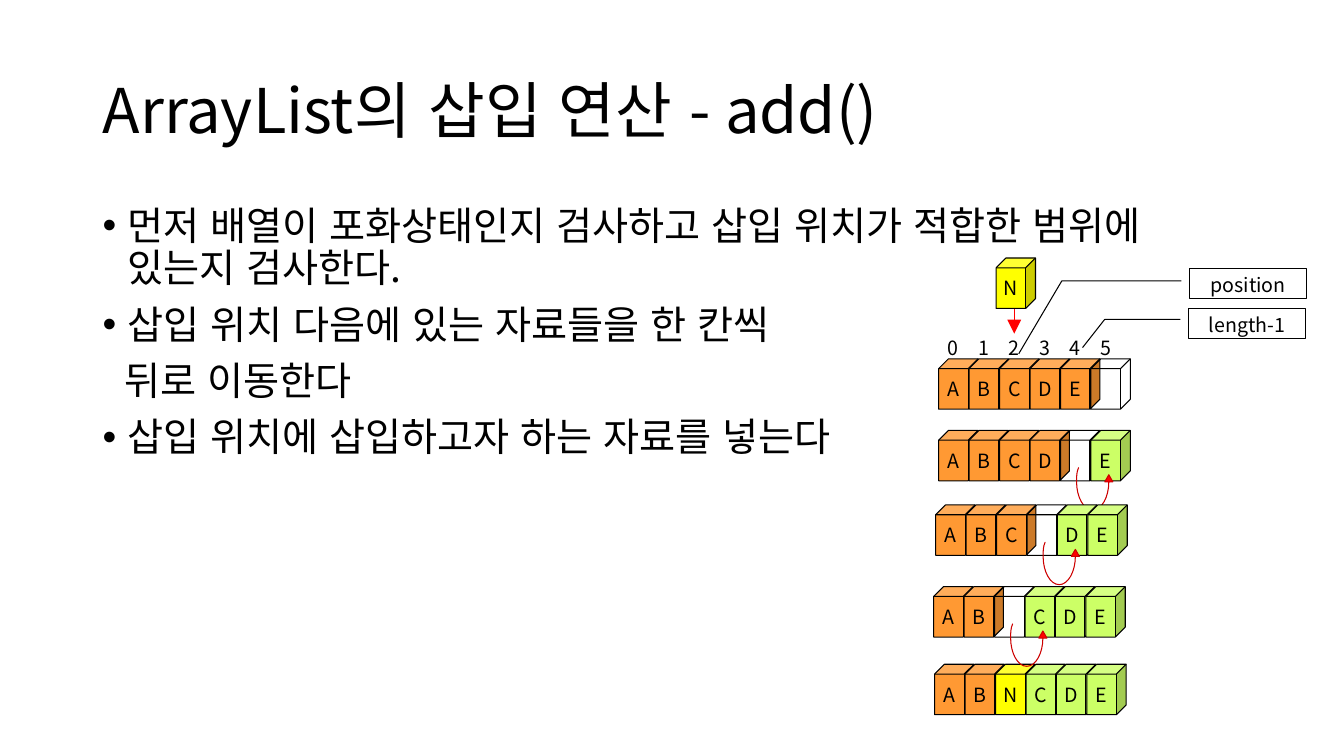
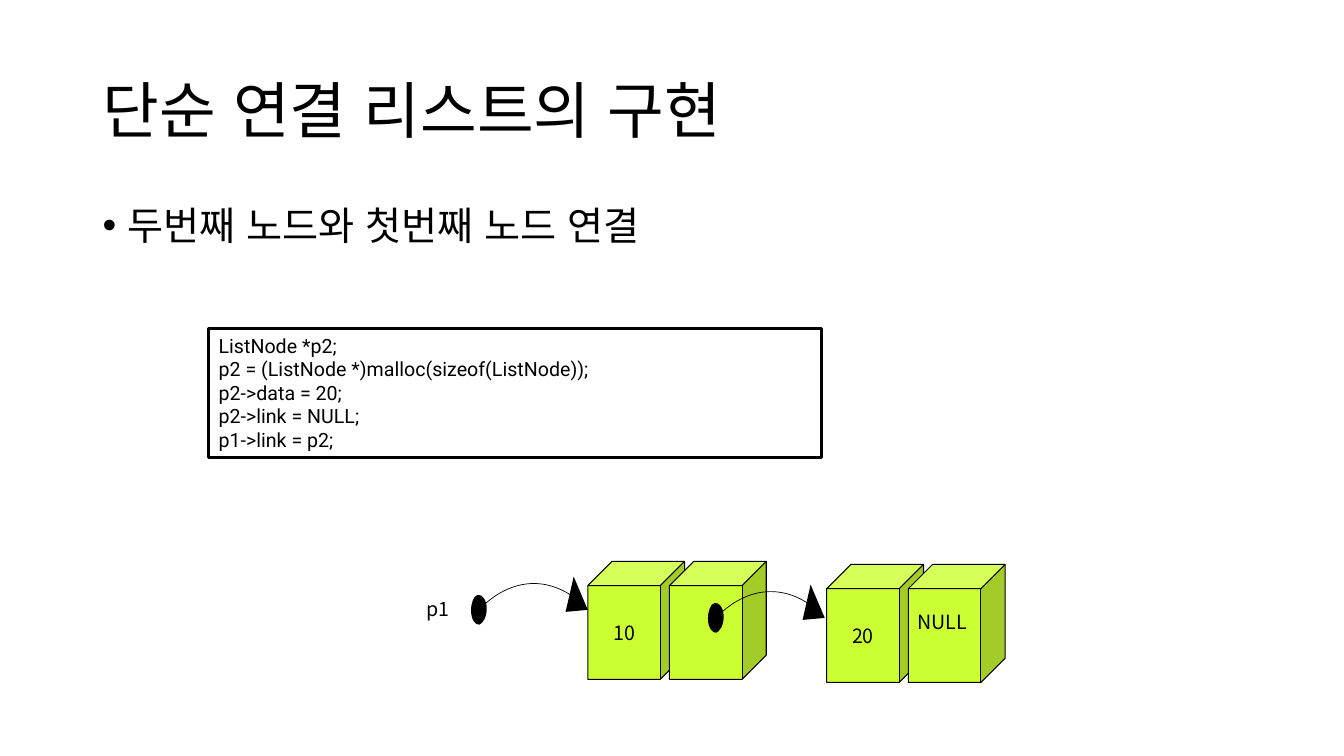
from lxml import etree
from pptx import Presentation
from pptx.dml.color import RGBColor
from pptx.enum.shapes import MSO_CONNECTOR, MSO_SHAPE
from pptx.enum.text import MSO_ANCHOR, PP_ALIGN
from pptx.oxml.ns import qn
from pptx.util import Inches, Pt

BLACK = RGBColor(0x00, 0x00, 0x00)
WHITE = RGBColor(0xFF, 0xFF, 0xFF)
ORANGE = RGBColor(0xFF, 0x99, 0x33)
GREEN = RGBColor(0xCC, 0xFF, 0x66)
LIME = RGBColor(0xCC, 0xFF, 0x33)
YELLOW = RGBColor(0xFF, 0xFF, 0x00)
RED = RGBColor(0xFF, 0x00, 0x00)
DARK_RED = RGBColor(0xCC, 0x00, 0x00)

CUBE, RECT = MSO_SHAPE.CUBE, MSO_SHAPE.RECTANGLE
CALLOUT = MSO_SHAPE.LINE_CALLOUT_2
STRAIGHT = MSO_CONNECTOR.STRAIGHT
TOP, MIDDLE = MSO_ANCHOR.TOP, MSO_ANCHOR.MIDDLE
LEFT, CENTER, JUSTIFY = PP_ALIGN.LEFT, PP_ALIGN.CENTER, PP_ALIGN.JUSTIFY

KOREAN, CODE = "Noto Sans CJK KR", "Roboto"
CELL_PITCH, CELL_SIZE = 0.302, (0.39, 0.5)
NODE_PITCH, NODE_SIZE = 0.81, (0.96, 1.17)

# Curves: a start, then two control points and an end for each piece.
SWING = [(0.48, 0.51), (0.48, 0.66), (0.41, 0.79), (0.32, 0.79),
         (0.23, 0.79), (0.16, 0.66), (0.16, 0.51),
         (0.16, 0.46), (0.16, 0.41), (0.18, 0.37)]
SWING_HEAD = [(0.52, 0.51), (0.48, 0.44), (0.44, 0.51)]
LINK_ARC = [(0.09, 0.17), (0.37, -0.12), (0.71, -0.17), (1.01, 0.03)]
LINK_DOT = [(0.16, 0.1), (0.14, 0.03), (0.09, 0), (0.05, 0.04),
            (0.02, 0.08), (0, 0.16), (0.02, 0.24),
            (0.04, 0.31), (0.09, 0.34), (0.12, 0.3),
            (0.16, 0.26), (0.18, 0.17), (0.16, 0.1)]
LINK_HEAD = [(1.03, -0.16), (1.17, 0.17), (0.95, 0.19)]


def write(shape, lines, size=14, font=KOREAN, align=LEFT, anchor=TOP, wrap=True):
    """Fill a shape with one paragraph per line, all in one format."""
    frame = shape.text_frame
    frame.text = "\n".join(lines)
    frame.word_wrap = wrap
    frame.vertical_anchor = anchor
    for paragraph in frame.paragraphs:
        paragraph.alignment = align
        for run in paragraph.runs:
            run.font.size = Pt(size)
            run.font.color.rgb = BLACK
            run.font.name = font
            properties = run.font._element
            properties.set("lang", "ko-KR")
            properties.set("kern", "0")
            etree.SubElement(properties, qn("a:ea")).set("typeface", font)
    return frame.paragraphs


def paint(shape, fill=None, line=None, width=0.75):
    """Set fill and outline; None leaves either one out."""
    shape.shadow.inherit = False
    if fill is None:
        shape.fill.background()
    else:
        shape.fill.solid()
        shape.fill.fore_color.rgb = fill
    if line is None:
        shape.line.fill.background()
    else:
        shape.line.color.rgb = line
        shape.line.width = Pt(width)


def add_preset(slide, preset, left, top, size, fill=None, line=BLACK, width=0.75):
    """Add a painted preset shape."""
    shape = slide.shapes.add_shape(
        preset, Inches(left), Inches(top), Inches(size[0]), Inches(size[1]))
    paint(shape, fill, line, width)
    return shape


def add_text(slide, left, top, width, height, lines, **style):
    """Add a text box and return its paragraphs."""
    box = slide.shapes.add_textbox(
        Inches(left), Inches(top), Inches(width), Inches(height))
    return write(box, lines, **style)


def add_cube(slide, left, top, size, label="", fill=None, line=BLACK, wrap=True):
    """Add a cube with a centred label on its front face."""
    cube = add_preset(slide, CUBE, left, top, size, fill, line)
    if label:
        write(cube, [label], align=CENTER, anchor=MIDDLE, wrap=wrap)


def add_outline(slide, left, top, points, curves=0, close=False, **look):
    """Draw a freeform; its first pieces are curves of three points each."""
    placed = [(Inches(left + x), Inches(top + y)) for x, y in points]
    builder = slide.shapes.build_freeform(*placed[0])
    builder.add_line_segments(placed[1:], close=close)
    shape = builder.convert_to_shape()
    segments = list(shape._element.iter(qn("a:lnTo")))
    for first in range(0, 3 * curves, 3):
        curve = etree.Element(qn("a:cubicBezTo"))
        segments[first].addprevious(curve)
        for segment in segments[first:first + 3]:
            curve.append(segment[0])
            segment.getparent().remove(segment)
    paint(shape, **look)


def add_slide(deck, title, bullets, continued=()):
    """Add a slide with title and body; continued lines carry no bullet."""
    slide = deck.slides.add_slide(deck.slide_layouts[6])
    heading = add_text(slide, 0.92, 0.4, 11.5, 1.45, [title], size=44, anchor=MIDDLE)
    heading[0].line_spacing = 0.9
    body = add_text(slide, 0.92, 2, 11.5, 4.76, bullets, size=28)
    for index, paragraph in enumerate(body):
        paragraph.line_spacing = 0.9
        paragraph.space_before = Pt(10)
        properties = paragraph._p.get_or_add_pPr()
        if index in continued:
            properties.set("marL", str(Inches(0.22)))
            properties.set("indent", "0")
            continue
        properties.set("marL", str(Inches(0.25)))
        properties.set("indent", str(-Inches(0.25)))
        etree.SubElement(properties, qn("a:buFont")).set("typeface", "Arial")
        etree.SubElement(properties, qn("a:buChar")).set("char", "•")
    return slide


def add_array(slide, left, top, cells):
    """Draw an array; a space is the free cell, cells after it have moved."""
    settled = ORANGE
    for index, letter in enumerate(cells):
        fill = {" ": None, "N": YELLOW}.get(letter, settled)
        if letter in " N":
            settled = GREEN
        add_cube(slide, left + index * CELL_PITCH, top, CELL_SIZE,
                 letter.strip(), fill, wrap=False)


def add_move(slide, left, top, cells):
    """Draw the arrow from the free cell to the one on its right."""
    free_left = left + cells.index(" ") * CELL_PITCH
    add_outline(slide, free_left, top, SWING + SWING[-2::-1] + SWING_HEAD,
                curves=6, close=True, fill=RED, line=DARK_RED)


def add_callout(slide, left, top, label, bends):
    """Add a label with a bent leader line."""
    callout = add_preset(slide, CALLOUT, left, top, (1.16, 0.3))
    for index, bend in enumerate(bends):
        callout.adjustments[index] = bend
    write(callout, [label], align=CENTER)


def add_drop(slide, x, top, bottom):
    """Add the red arrow that drops the new item into the array."""
    arrow = slide.shapes.add_connector(
        STRAIGHT, Inches(x), Inches(top), Inches(x), Inches(bottom))
    arrow.line.color.rgb = RED
    arrow.line.width = Pt(0.75)
    head = etree.SubElement(arrow.line._get_or_add_ln(), qn("a:tailEnd"))
    for key, value in (("type", "triangle"), ("w", "lg"), ("len", "lg")):
        head.set(key, value)
    etree.SubElement(arrow._element.spPr, qn("a:effectLst"))


def add_node(slide, left, top, data):
    """Draw a list node: a data cube and a link cube."""
    add_cube(slide, left, top, NODE_SIZE, data, LIME)
    add_cube(slide, left + NODE_PITCH, top, NODE_SIZE, fill=LIME)


def add_link(slide, left, top):
    """Draw a pointer: an arc, a dot and an arrowhead."""
    add_outline(slide, left, top, LINK_ARC, curves=1, line=BLACK, width=0.5)
    add_outline(slide, left, top, LINK_DOT, curves=4, fill=BLACK)
    add_outline(slide, left, top, LINK_HEAD, close=True, fill=BLACK)


def build_insertion(deck):
    """Slide on inserting into an array list."""
    slide = add_slide(deck, "ArrayList의 삽입 연산 - add()", [
        "먼저 배열이 포화상태인지 검사하고 삽입 위치가 적합한 범위에 있는지 검사한다.",
        "삽입 위치 다음에 있는 자료들을 한 칸씩",
        "뒤로 이동한다",
        "삽입 위치에 삽입하고자 하는 자료를 넣는다",
    ], continued=(2,))
    add_array(slide, 9.31, 3.56, "ABCDE ")
    for index in range(6):
        add_cube(slide, 9.31 + index * CELL_PITCH, 3.15, CELL_SIZE,
                 str(index), line=None, wrap=False)
    add_drop(slide, 10.06, 3.07, 3.31)
    add_array(slide, 9.27, 6.59, "ABNCDE")
    for left, top, cells in ((9.31, 4.27, "ABCD E"),
                             (9.28, 5.01, "ABC DE"),
                             (9.26, 5.82, "AB CDE")):
        add_array(slide, left, top, cells)
        add_move(slide, left, top, cells)
    add_callout(slide, 11.8, 2.66, "position",
                (0.424, -0.072, 0.424, -1.094, 2.835, -1.462))
    add_callout(slide, 11.79, 3.06, "length-1",
                (0.367, -0.071, 0.367, -0.719, 1.296, -0.908))
    add_array(slide, 9.88, 2.56, "N")


def build_linking(deck):
    """Slide on linking two list nodes."""
    slide = add_slide(deck, "단순 연결 리스트의 구현", ["두번째 노드와 첫번째 노드 연결"])
    code = add_preset(slide, RECT, 2.07, 3.26, (6.08, 1.28), WHITE, width=2)
    write(code, [
        "ListNode *p2;",
        "p2 = (ListNode *)malloc(sizeof(ListNode));",
        "p2->data = 20;",
        "p2->link = NULL;",
        "p1->link = p2;",
    ], font=CODE, align=JUSTIFY)
    add_cube(slide, 3.95, 5.31, (1.06, 1.2), "p1", line=None)
    add_node(slide, 5.83, 5.57, "10")
    add_node(slide, 8.2, 5.6, "20")
    add_text(slide, 9, 6, 0.99, 0.92, ["NULL"])
    add_link(slide, 7.01, 5.96)
    add_link(slide, 4.66, 5.88)


def main():
    """Build and save the deck."""
    deck = Presentation()
    deck.slide_width, deck.slide_height = Inches(13.33), Inches(7.5)
    build_insertion(deck)
    build_linking(deck)
    deck.save("out.pptx")


main()
